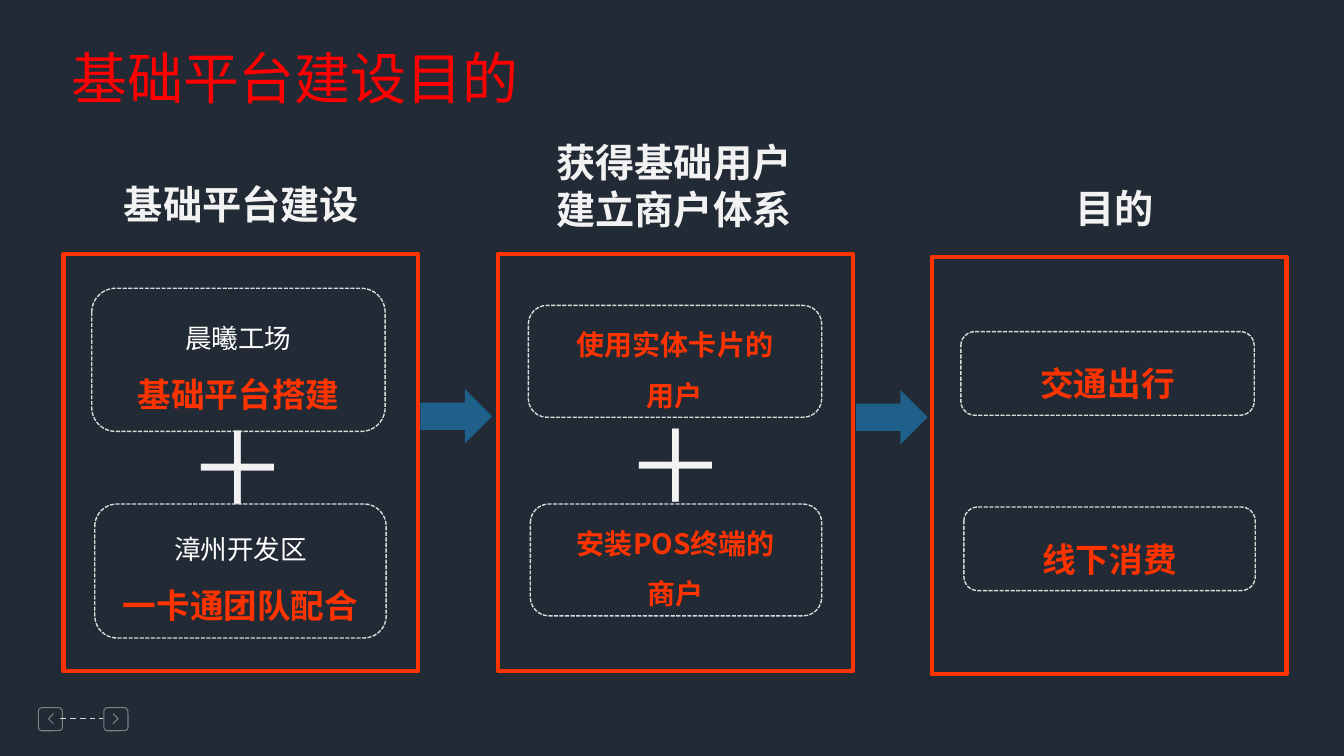
from lxml import etree
from pptx import Presentation
from pptx.dml.color import RGBColor
from pptx.enum.dml import MSO_LINE
from pptx.enum.shapes import MSO_CONNECTOR, MSO_SHAPE
from pptx.enum.text import MSO_ANCHOR, MSO_AUTO_SIZE, PP_ALIGN
from pptx.oxml.ns import qn
from pptx.util import Inches, Pt

RECT = MSO_SHAPE.RECTANGLE
ROUND = MSO_SHAPE.ROUNDED_RECTANGLE
ARROW = MSO_SHAPE.RIGHT_ARROW
STRAIGHT = MSO_CONNECTOR.STRAIGHT
DASH = MSO_LINE.DASH
SQUARE_DOT = MSO_LINE.SQUARE_DOT
CENTER = PP_ALIGN.CENTER
LEFT = PP_ALIGN.LEFT
MIDDLE = MSO_ANCHOR.MIDDLE
FIT_SHAPE = MSO_AUTO_SIZE.SHAPE_TO_FIT_TEXT

FONT = "Noto Sans CJK SC"
NAVY, RED, ORANGE, BLUE = "222A35", "FF0000", "FF3300", "1F608B"
WHITE, OFF_WHITE, SILVER, GRAY = "FFFFFF", "F2F2F2", "D9D9D9", "808080"


def rgb(value):
    return RGBColor.from_string(value)


class Deck:
    def __init__(self, slide):
        self.slide = slide
        self.shapes = slide.shapes
        fill = slide.background.fill
        fill.solid()
        fill.fore_color.rgb = rgb(NAVY)

    def set_lines(self, tf, lines, align=CENTER, spacing=None):
        tf.text = "\n".join(line[0] for line in lines)
        for p, (_, size, color, bold) in zip(tf.paragraphs, lines):
            p.alignment = align
            if spacing:
                p.line_spacing = spacing
            for r in p.runs:
                r.font.size = Pt(size)
                r.font.bold = bold
                r.font.color.rgb = rgb(color)
                r.font.name = FONT
                ea = etree.SubElement(r.font._element, qn("a:ea"))
                ea.set("typeface", FONT)

    def text(self, x, y, w, h, lines, align=CENTER, wrap=True):
        sp = self.shapes.add_textbox(Inches(x), Inches(y), Inches(w), Inches(h))
        tf = sp.text_frame
        tf.word_wrap = wrap
        tf.auto_size = FIT_SHAPE
        self.set_lines(tf, lines, align)

    def outline(self, sp, color, width, dash=None):
        sp.shadow.inherit = False
        sp.fill.background()
        sp.line.color.rgb = rgb(color)
        sp.line.width = Pt(width)
        if dash:
            sp.line.dash_style = dash

    def box(self, kind, x, y, w, h, color, width, dash=None):
        sp = self.shapes.add_shape(kind, Inches(x), Inches(y), Inches(w), Inches(h))
        self.outline(sp, color, width, dash)
        return sp

    def card(self, x, y, w, h, lines):
        sp = self.box(ROUND, x, y, w, h, SILVER, 1, SQUARE_DOT)
        sp.text_frame.word_wrap = True
        sp.text_frame.vertical_anchor = MIDDLE
        self.set_lines(sp.text_frame, lines, spacing=1.5)

    def arrow(self, x, y):
        sp = self.shapes.add_shape(ARROW, Inches(x), Inches(y), Inches(0.71), Inches(0.54))
        sp.shadow.inherit = False
        sp.fill.solid()
        sp.fill.fore_color.rgb = rgb(BLUE)
        sp.line.fill.background()

    def plus(self, x, y):
        self.text(x, y, 1.21, 1.31, [("＋", 72, OFF_WHITE, False)], LEFT, False)

    def nav_button(self, x, back_x, tip_x):
        self.box(ROUND, x, 7.02, 0.24, 0.23, GRAY, 0.75)
        builder = self.shapes.build_freeform(Inches(back_x), Inches(7.08))
        builder.add_line_segments(
            [(Inches(tip_x), Inches(7.13)), (Inches(back_x), Inches(7.18))], close=False)
        self.outline(builder.convert_to_shape(), GRAY, 0.75)

    def dashed_line(self, x1, x2, y):
        line = self.shapes.add_connector(STRAIGHT, Inches(x1), Inches(y), Inches(x2), Inches(y))
        line.line.color.rgb = rgb(SILVER)
        line.line.width = Pt(1)
        line.line.dash_style = DASH
        etree.SubElement(line._element.spPr, qn("a:effectLst"))


def main():
    prs = Presentation()
    prs.slide_width, prs.slide_height = Inches(13.33), Inches(7.5)
    deck = Deck(prs.slides.add_slide(prs.slide_layouts[6]))

    deck.nav_button(0.38, 0.53, 0.48)
    deck.nav_button(1.03, 1.12, 1.17)
    deck.dashed_line(0.6, 1.02, 7.13)
    deck.text(0.58, 0.38, 4.69, 0.77, [("基础平台建设目的", 40, RED, False)], wrap=False)

    for x, y in [(0.63, 2.52), (4.94, 2.52), (9.24, 2.55)]:
        deck.box(RECT, x, y, 3.52, 4.14, ORANGE, 3)

    headings = [
        (0.78, 1.74, 0.57, ["基础平台建设"]),
        (5.07, 1.32, 1.04, ["获得基础用户", "建立商户体系"]),
        (9.44, 1.78, 0.57, ["目的"]),
    ]
    for x, y, h, words in headings:
        deck.text(x, y, 3.23, h, [(word, 28, OFF_WHITE, True) for word in words])

    cards = [
        (0.91, 2.86, 2.91, 1.42, [("晨曦工场", 19, WHITE, False), ("基础平台搭建", 24, ORANGE, True)]),
        (0.94, 5, 2.89, 1.33, [("漳州开发区", 19, WHITE, False), ("一卡通团队配合", 24, ORANGE, True)]),
        (5.24, 3.03, 2.91, 1.11, [("使用实体卡片的", 20, ORANGE, True), ("用户", 20, ORANGE, True)]),
        (5.26, 5, 2.89, 1.11, [("安装POS终端的", 20, ORANGE, True), ("商户", 20, ORANGE, True)]),
        (9.53, 3.29, 2.91, 0.83, [("交通出行", 24, ORANGE, True)]),
        (9.56, 5.03, 2.89, 0.83, [("线下消费", 24, ORANGE, True)]),
    ]
    for card in cards:
        deck.card(*card)

    deck.plus(1.76, 3.97)
    deck.plus(6.11, 3.95)
    deck.arrow(4.17, 3.86)
    deck.arrow(8.49, 3.87)

    prs.save("out.pptx")


if __name__ == "__main__":
    main()
